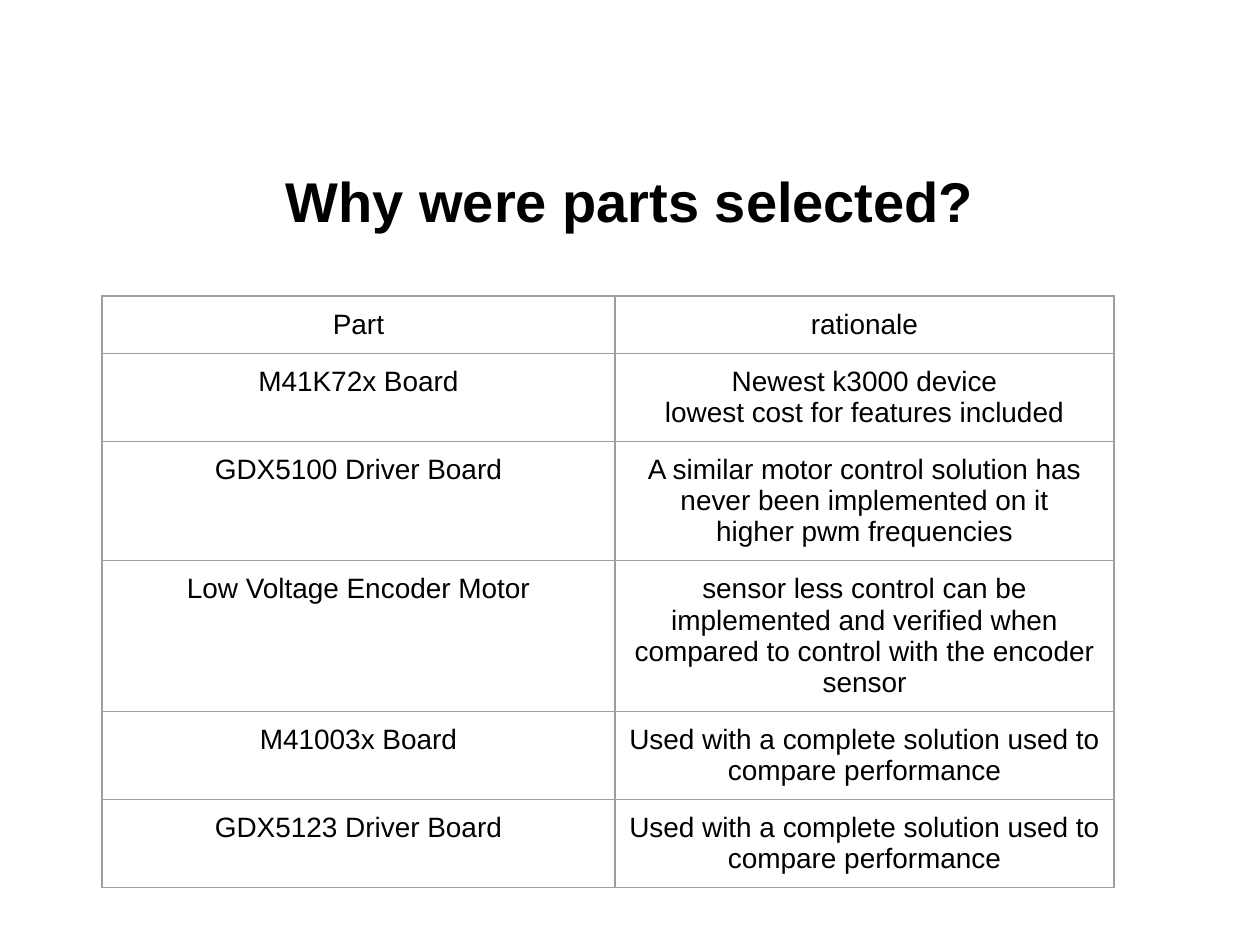
"""Build a slide that explains in a table why each part was selected."""
from lxml.etree import SubElement
from pptx import Presentation
from pptx.dml.color import RGBColor
from pptx.enum.text import MSO_ANCHOR, PP_ALIGN
from pptx.oxml.ns import qn
from pptx.util import Emu, Pt

TITLE = "Why were parts selected?"
ROWS = [
    ("Part", ["rationale"]),
    ("M41K72x Board", ["Newest k3000 device", "lowest cost for features included"]),
    ("GDX5100 Driver Board", [
        "A similar motor control solution has never been implemented on it",
        "higher pwm frequencies",
    ]),
    ("Low Voltage Encoder Motor", [
        "sensor less control can be implemented and verified when "
        "compared to control with the encoder sensor",
    ]),
    ("M41003x Board", ["Used with a complete solution used to compare performance"]),
    ("GDX5123 Driver Board", ["Used with a complete solution used to compare performance"]),
]

PX = 914400 // 126
SLIDE_SIZE = (1260, 945)
TITLE_BOX = (63, 145, 1134, 111)
TABLE_LEFT, TABLE_TOP = 102, 296
COLUMN_WIDTHS = (513, 499)
ROW_HEIGHT = 53
CELL_MARGIN = 13
BORDER_WIDTH = Pt(0.75)

BLACK = RGBColor(0x00, 0x00, 0x00)
GRAY = RGBColor(0x9E, 0x9E, 0x9E)


def px(value):
    return Emu(value * PX)


def write_text(frame, lines, size=16, bold=False, color=BLACK, align=PP_ALIGN.CENTER):
    frame.word_wrap = True
    for index, line in enumerate(lines):
        paragraph = frame.paragraphs[0] if index == 0 else frame.add_paragraph()
        paragraph.alignment = align
        run = paragraph.add_run()
        run.text = line
        font = run.font
        font.name, font.size, font.bold = "Arial", Pt(size), bold
        font.color.rgb = color


def set_borders(cell):
    properties = cell._tc.get_or_add_tcPr()
    for index, side in enumerate(("lnL", "lnR", "lnT", "lnB")):
        line = SubElement(properties, qn(f"a:{side}"), w=str(BORDER_WIDTH))
        fill = SubElement(line, qn("a:solidFill"))
        SubElement(fill, qn("a:srgbClr"), val=str(GRAY))
        properties.insert(index, line)


def add_title(slide):
    title = slide.shapes.title
    title.left, title.top, title.width, title.height = map(px, TITLE_BOX)
    title.text_frame.vertical_anchor = MSO_ANCHOR.MIDDLE
    write_text(title.text_frame, [TITLE], size=32, bold=True)


def add_parts_table(slide):
    shape = slide.shapes.add_table(
        len(ROWS), len(COLUMN_WIDTHS), px(TABLE_LEFT), px(TABLE_TOP),
        px(sum(COLUMN_WIDTHS)), px(ROW_HEIGHT * len(ROWS)))
    table = shape.table
    table.first_row = table.horz_banding = False
    for column, width in zip(table.columns, COLUMN_WIDTHS):
        column.width = px(width)
    for row, (part, rationale) in zip(table.rows, ROWS):
        row.height = px(ROW_HEIGHT)
        for cell, lines in zip(row.cells, ([part], rationale)):
            cell.fill.background()
            cell.margin_left = cell.margin_right = px(CELL_MARGIN)
            cell.margin_top = cell.margin_bottom = px(CELL_MARGIN)
            cell.vertical_anchor = MSO_ANCHOR.TOP
            set_borders(cell)
            write_text(cell.text_frame, lines)


def main():
    presentation = Presentation()
    presentation.slide_width, presentation.slide_height = map(px, SLIDE_SIZE)
    slide = presentation.slides.add_slide(presentation.slide_layouts[5])
    add_title(slide)
    add_parts_table(slide)
    presentation.save("out.pptx")


if __name__ == "__main__":
    main()
